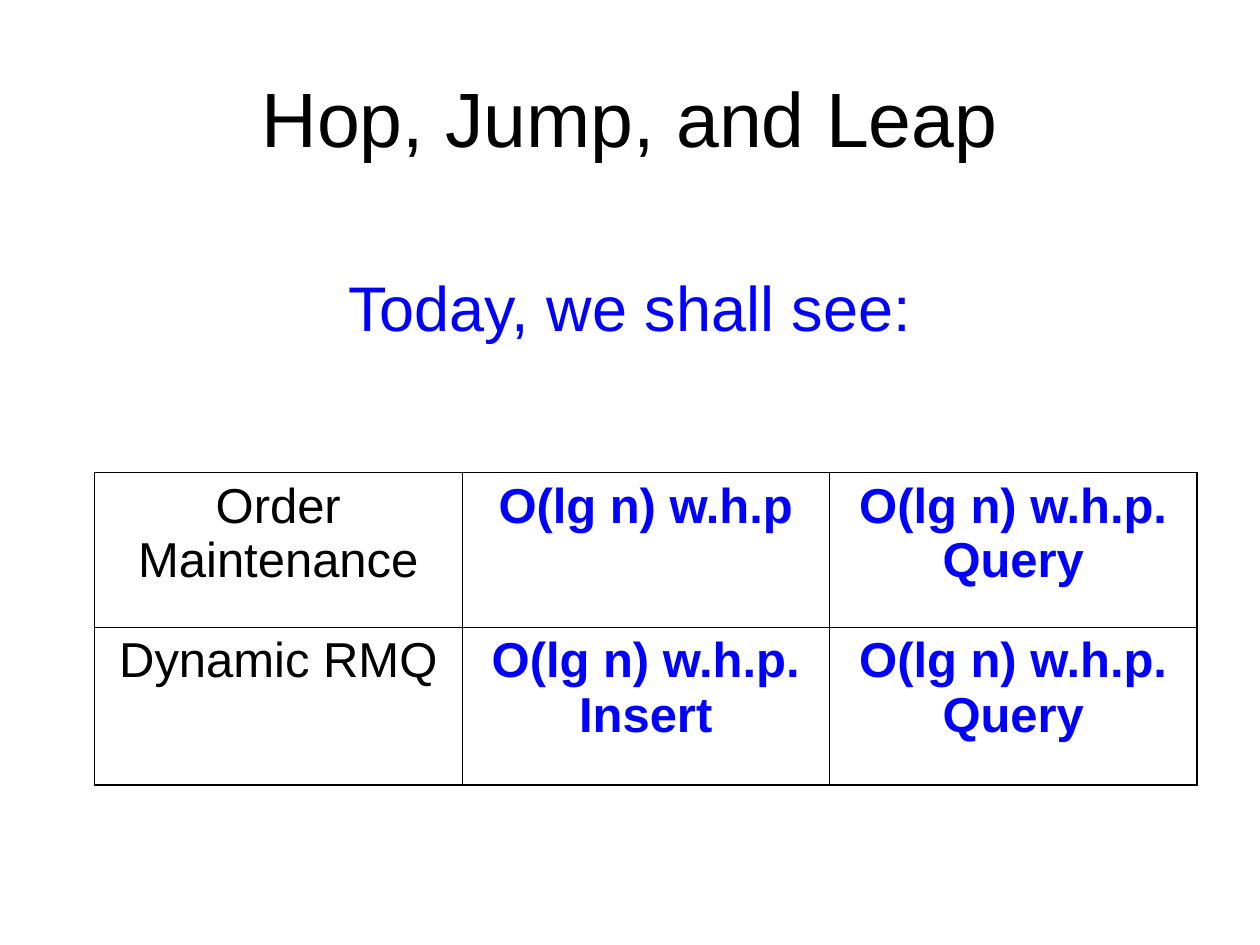
"""Build the "Hop, Jump, and Leap" slide with its table of bounds."""
from dataclasses import dataclass

from lxml import etree
from pptx import Presentation
from pptx import util as u
from pptx.dml.color import RGBColor
from pptx.enum import text
from pptx.oxml import ns


@dataclass(frozen=True)
class Theme:
    font: str = "Arial"
    ink: str = "000000"
    accent: str = "0000FF"
    title: int = 44
    lead: int = 36
    cell: int = 28
    outer: float = 1.08
    inner: float = 0.45


THEME = Theme()
BOUNDS = [
    ["Order Maintenance", "O(lg n) w.h.p", "O(lg n) w.h.p. Query"],
    ["Dynamic RMQ", "O(lg n) w.h.p. Insert", "O(lg n) w.h.p. Query"],
]
COLUMN_WIDTH = 210
ROW_HEIGHTS = [88.5, 90]


def write(frame, words, *, size, color=THEME.ink, bold=False, align=None, before=None):
    para = frame.paragraphs[0]
    para.alignment = align
    if before is not None:
        para.space_before = u.Pt(before)
    span = para.add_run()
    span.text = words
    span.font.name = THEME.font
    span.font.size = u.Pt(size)
    span.font.bold = bold
    span.font.color.rgb = RGBColor.from_string(color)


def place(shape, left, top, width, height):
    shape.left, shape.top = u.Pt(left), u.Pt(top)
    shape.width, shape.height = u.Pt(width), u.Pt(height)


def add_title(page, words):
    title = page.shapes.title
    place(title, 36, 21.6, 648, 90)
    title.text_frame.vertical_anchor = text.MSO_ANCHOR.MIDDLE
    write(title.text_frame, words, size=THEME.title, align=text.PP_ALIGN.CENTER)


def add_lead(page, words):
    box = page.shapes.add_textbox(u.Pt(192), u.Pt(150), u.Pt(343), u.Pt(50.5))
    box.text_frame.word_wrap = False
    box.text_frame.auto_size = text.MSO_AUTO_SIZE.SHAPE_TO_FIT_TEXT
    write(box.text_frame, words, size=THEME.lead, color=THEME.accent)


def set_borders(cell, outer_sides):
    properties = cell._tc.get_or_add_tcPr()
    for index, side in enumerate("LRTB"):
        width = THEME.outer if side in outer_sides else THEME.inner
        line = etree.Element(ns.qn(f"a:ln{side}"), w=str(int(u.Pt(width))))
        fill = etree.SubElement(line, ns.qn("a:solidFill"))
        etree.SubElement(fill, ns.qn("a:srgbClr"), val=THEME.ink)
        properties.insert(index, line)


def add_bounds_table(page, rows):
    row_count, column_count = len(rows), len(rows[0])
    table = page.shapes.add_table(
        row_count, column_count, u.Pt(54), u.Pt(270),
        u.Pt(COLUMN_WIDTH * column_count), u.Pt(sum(ROW_HEIGHTS)),
    ).table
    table.first_row = table.horz_banding = False
    for column in table.columns:
        column.width = u.Pt(COLUMN_WIDTH)
    for r, words_in_row in enumerate(rows):
        table.rows[r].height = u.Pt(ROW_HEIGHTS[r])
        for c, words in enumerate(words_in_row):
            cell = table.cell(r, c)
            cell.fill.background()
            edges = {"L": c == 0, "R": c == column_count - 1,
                     "T": r == 0, "B": r == row_count - 1}
            set_borders(cell, [side for side, outer in edges.items() if outer])
            write(cell.text_frame, words, size=THEME.cell, bold=c > 0,
                  color=THEME.accent if c else THEME.ink,
                  align=text.PP_ALIGN.CENTER, before=7)


def main():
    deck = Presentation()
    deck.slide_width, deck.slide_height = u.Pt(720), u.Pt(540)
    page = deck.slides.add_slide(deck.slide_layouts.get_by_name("Title Only"))
    add_title(page, "Hop, Jump, and Leap")
    add_bounds_table(page, BOUNDS)
    add_lead(page, "Today, we shall see:")
    deck.save("out.pptx")


if __name__ == "__main__":
    main()
